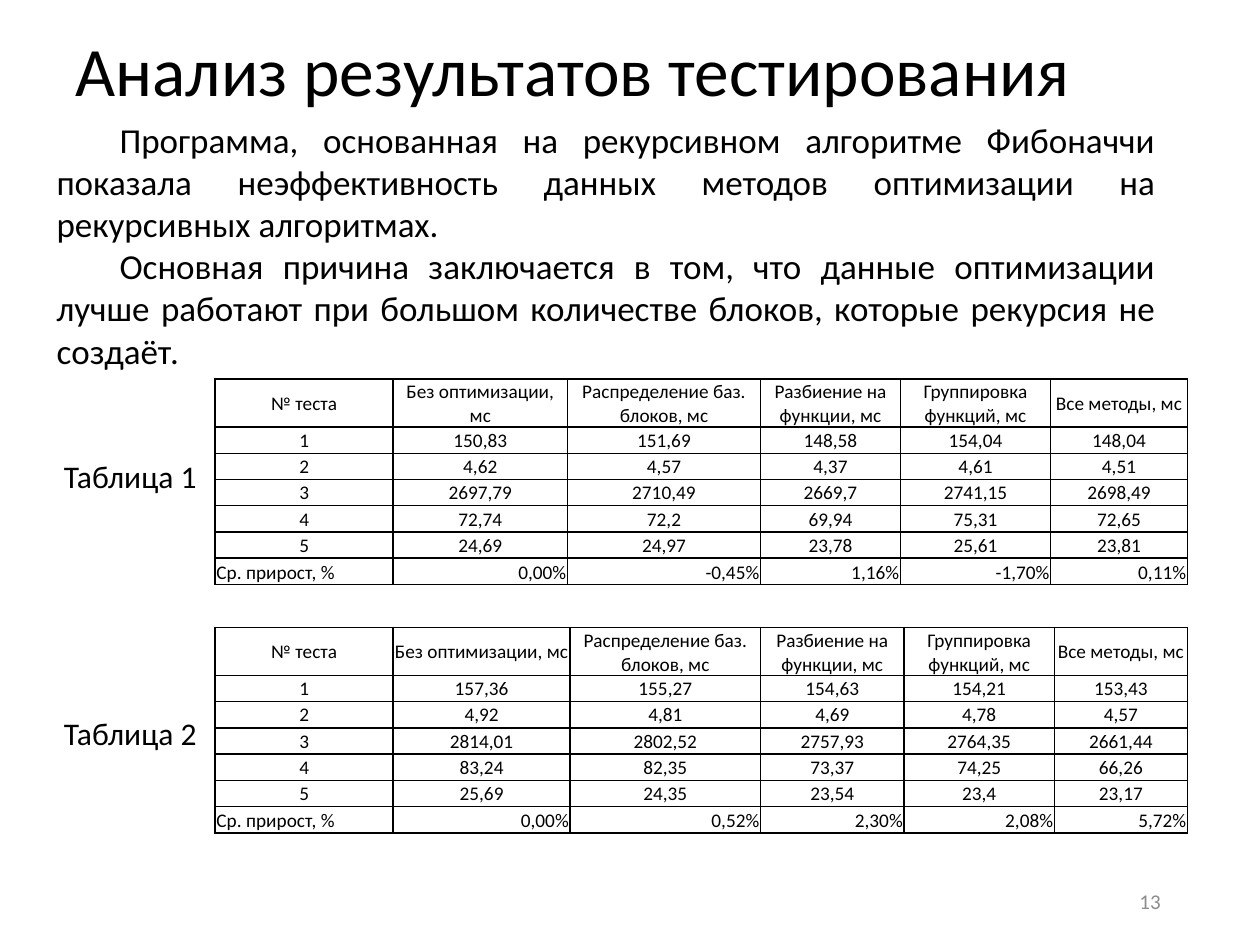
from lxml import etree
from pptx import Presentation
from pptx.dml.color import RGBColor
from pptx.enum import text
from pptx.oxml import ns
from pptx.util import Pt

COLORS = {"ink": "000000", "number": "8C8C8C"}
FONT = "Calibri"
LEFT, CENTER, RIGHT, JUSTIFY = (
    text.PP_ALIGN.LEFT, text.PP_ALIGN.CENTER, text.PP_ALIGN.RIGHT, text.PP_ALIGN.JUSTIFY)
TOP, MIDDLE, BOTTOM = (
    text.MSO_ANCHOR.TOP, text.MSO_ANCHOR.MIDDLE, text.MSO_ANCHOR.BOTTOM)

TITLE = "Анализ результатов тестирования"
CONCLUSIONS = [
    "Программа, основанная на рекурсивном алгоритме Фибоначчи показала "
    "неэффективность данных методов оптимизации на рекурсивных алгоритмах.",
    "Основная причина заключается в том, что данные оптимизации лучше работают "
    "при большом количестве блоков, которые рекурсия не создаёт.",
]
HEADER = ["№ теста", "Без оптимизации, мс", "Распределение баз. блоков, мс",
          "Разбиение на функции, мс", "Группировка функций, мс", "Все методы, мс"]
GROWTH = "Ср. прирост, %"
FIRST_RESULTS = [
    ["1", "150,83", "151,69", "148,58", "154,04", "148,04"],
    ["2", "4,62", "4,57", "4,37", "4,61", "4,51"],
    ["3", "2697,79", "2710,49", "2669,7", "2741,15", "2698,49"],
    ["4", "72,74", "72,2", "69,94", "75,31", "72,65"],
    ["5", "24,69", "24,97", "23,78", "25,61", "23,81"],
    [GROWTH, "0,00%", "-0,45%", "1,16%", "-1,70%", "0,11%"],
]
SECOND_RESULTS = [
    ["1", "157,36", "155,27", "154,63", "154,21", "153,43"],
    ["2", "4,92", "4,81", "4,69", "4,78", "4,57"],
    ["3", "2814,01", "2802,52", "2757,93", "2764,35", "2661,44"],
    ["4", "83,24", "82,35", "73,37", "74,25", "66,26"],
    ["5", "25,69", "24,35", "23,54", "23,4", "23,17"],
    [GROWTH, "0,00%", "0,52%", "2,30%", "2,08%", "5,72%"],
]
FIRST_WIDTHS = [101.7, 99.6, 110.4, 79.9, 85.9, 78.1]
SECOND_WIDTHS = [101.7, 101.1, 108.9, 82, 85.9, 76.1]


def add_words(paragraph, words, size, color="ink", align=LEFT):
    """Write one styled run into a paragraph."""
    paragraph.alignment = align
    run = paragraph.add_run()
    run.text = words
    run.font.name = FONT
    run.font.size = Pt(size)
    run.font.color.rgb = RGBColor.from_string(COLORS[color])


def add_text(slide, box, lines, size, color="ink", align=LEFT, anchor=TOP):
    """Add a wrapping text box with one paragraph per line and return its frame."""
    frame = slide.shapes.add_textbox(*map(Pt, box)).text_frame
    frame.word_wrap = True
    frame.vertical_anchor = anchor
    for index, line in enumerate(lines):
        paragraph = frame.add_paragraph() if index else frame.paragraphs[0]
        add_words(paragraph, line, size, color, align)
    return frame


def add_title(slide, box):
    """Place the slide title."""
    frame = add_text(slide, box, [TITLE], 39.6, anchor=MIDDLE)
    frame.paragraphs[0].line_spacing = 0.9


def add_conclusions(slide, box):
    """Place the justified conclusions with first-line indents."""
    frame = add_text(slide, box, CONCLUSIONS, 20, align=JUSTIFY)
    for paragraph in frame.paragraphs:
        properties = paragraph._p.get_or_add_pPr()
        properties.set("marL", "0")
        properties.set("indent", str(Pt(36)))


def style_cell(cell):
    """Give a cell thin margins, black borders and no fill."""
    cell.margin_left = cell.margin_right = cell.margin_top = Pt(0.7)
    cell.margin_bottom = Pt(0)
    properties = cell._tc.get_or_add_tcPr()
    for side in ("a:lnL", "a:lnR", "a:lnT", "a:lnB"):
        border = etree.SubElement(properties, ns.qn(side), w=str(Pt(1)))
        fill = etree.SubElement(border, ns.qn("a:solidFill"))
        etree.SubElement(fill, ns.qn("a:srgbClr"), val=COLORS["ink"])
    cell.fill.background()


def add_results(slide, box, widths, results):
    """Place a table of timings with a header row and a growth row."""
    left, top, width, height = box
    rows = [HEADER] + results
    table = slide.shapes.add_table(
        len(rows), len(HEADER), Pt(left), Pt(top), Pt(width), Pt(height)).table
    table.first_row = table.horz_banding = False
    header_height = 27.3
    row_height = (height - header_height) / len(results)
    for column, column_width in zip(table.columns, widths):
        column.width = Pt(column_width)
    for r, values in enumerate(rows):
        table.rows[r].height = Pt(row_height if r else header_height)
        is_growth = values[0] == GROWTH
        for c, value in enumerate(values):
            cell = table.cell(r, c)
            style_cell(cell)
            cell.vertical_anchor = BOTTOM if is_growth else MIDDLE
            align = (RIGHT if c else LEFT) if is_growth else CENTER
            add_words(cell.text_frame.paragraphs[0], value, 11, align=align)


def add_label(slide, box, label):
    """Place a table label, indented slightly from its box."""
    add_text(slide, box, [label], 18).margin_left = Pt(11.3)


def main():
    """Build and save the slide."""
    deck = Presentation()
    deck.slide_width, deck.slide_height = Pt(720), Pt(540)
    slide = deck.slides.add_slide(deck.slide_layouts[6])
    add_title(slide, (36, 17.3, 620.6, 50.4))
    add_conclusions(slide, (25.2, 64.4, 642.2, 152.6))
    add_label(slide, (25.2, 257.8, 97.2, 28.8), "Таблица 1")
    add_results(slide, (123, 216.7, 555.6, 117.4), FIRST_WIDTHS, FIRST_RESULTS)
    add_label(slide, (25.2, 404.6, 97.2, 28.8), "Таблица 2")
    add_results(slide, (123, 358.6, 555.7, 117.4), SECOND_WIDTHS, SECOND_RESULTS)
    add_text(slide, (508.3, 500.4, 162, 28.8), ["13"], 12, "number", RIGHT, MIDDLE)
    deck.save("out.pptx")


if __name__ == "__main__":
    main()
